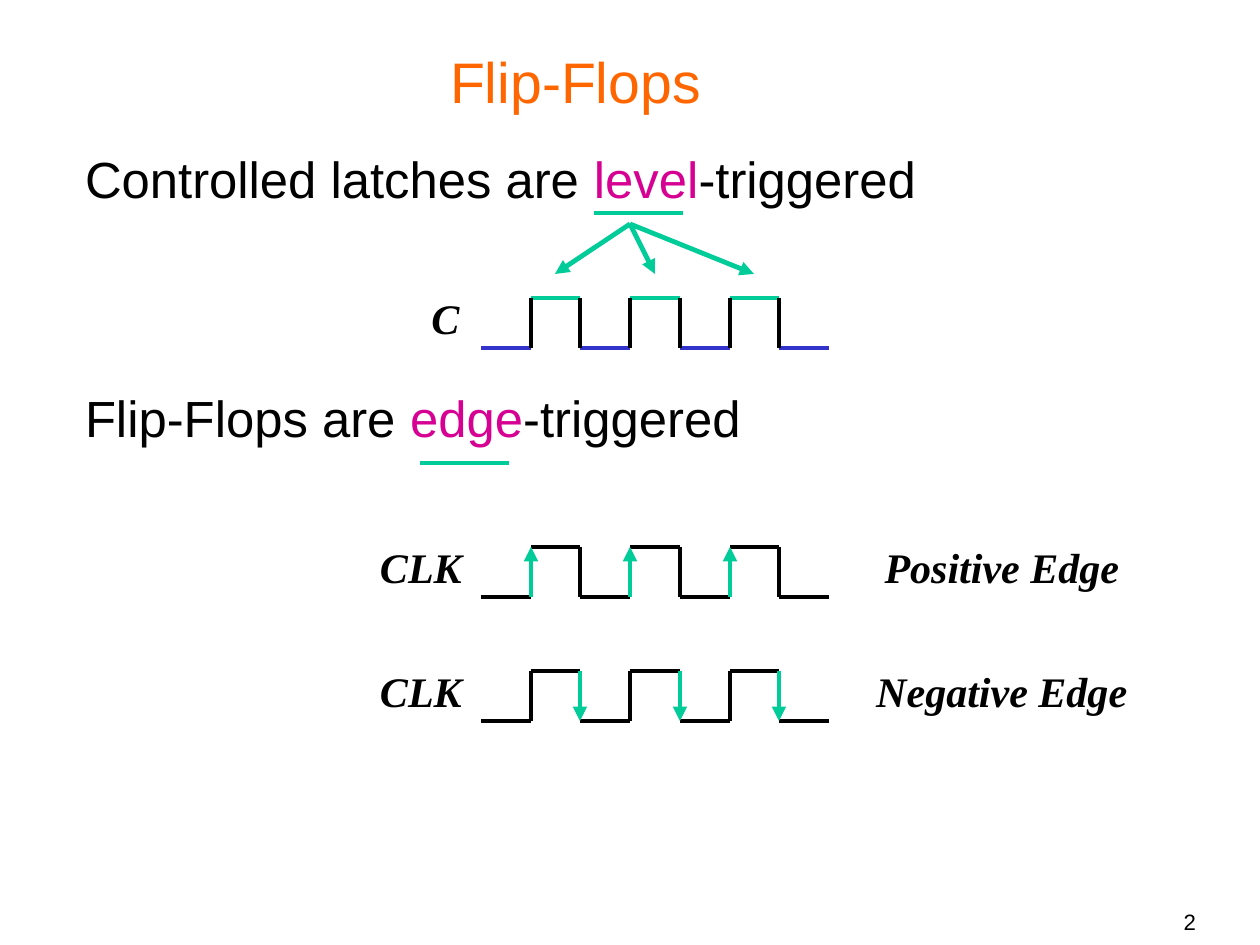
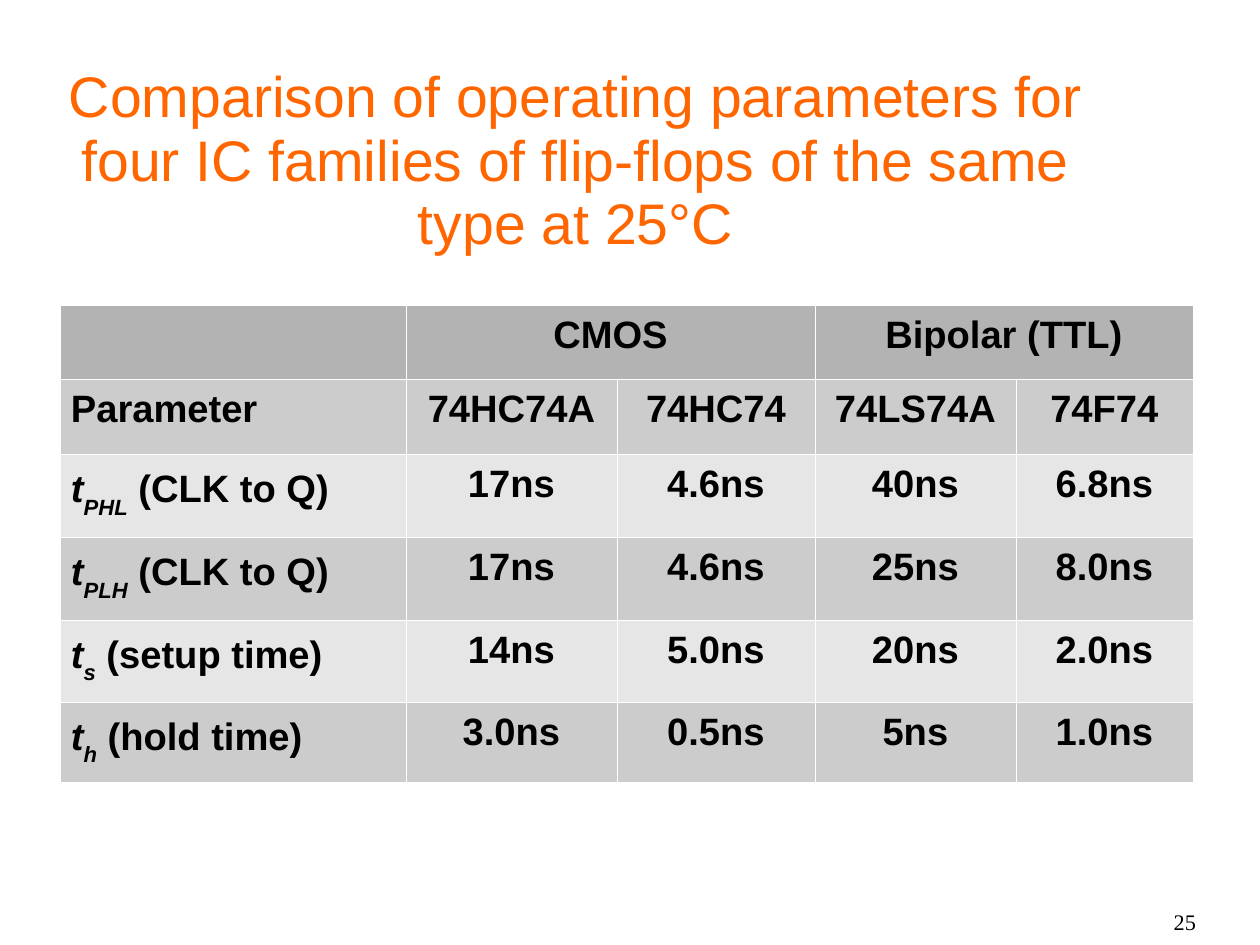
import dataclasses
import pptx
import pptx.dml.color
import pptx.enum.shapes
import pptx.enum.text
import pptx.oxml
import pptx.oxml.ns
import pptx.util
import lxml.etree

ALIGN = pptx.enum.text.PP_ALIGN
ANCHOR = pptx.enum.text.MSO_ANCHOR


@dataclasses.dataclass(frozen=True)
class Theme:
    sans: str = "Arial"
    serif: str = "Times New Roman"
    title: str = "FF6600"
    ink: str = "000000"
    keyword: str = "D60093"
    accent: str = "00CC99"
    low_level: str = "3333CC"
    border: str = "FFFFFF"
    header: str = "B3B3B3"
    bands: tuple = ("CCCCCC", "E6E6E6")
    title_size: float = 36
    body_size: float = 32
    label_size: float = 26.5
    table_size: float = 24
    page_size: float = 14
    line_width: float = 3
    border_width: float = 0.06


THEME = Theme()
PX = 8000
SLIDE_SIZE = (1260, 945)
PAGE_BOX = (903, 908, 293, 37)

LATCHES = {
    "title": "Flip-Flops",
    "title_box": (63, 38, 1025, 93),
    "page": "2",
    "page_font": THEME.sans,
}
STATEMENT_BOX = (85, 150, 1141, 331)
STATEMENTS = [
    ("Controlled latches are ", "level", "-triggered", 14),
    ("Flip-Flops are ", "edge", "-triggered", 115),
]
UNDERLINES = [(594, 213), (420, 463)]
UNDERLINE_WIDTH = 89
LEVEL_ORIGIN = (630, 224)
LEVEL_TARGETS = [(555, 274), (655, 274), (754, 274)]
WAVE_LEFT, WAVE_WIDTH, WAVE_HEIGHT, WAVE_STEPS = 481, 348, 50, 7
WAVES = [
    {"top": 298, "low": THEME.low_level, "high": THEME.accent,
     "labels": [("C", 431, 29)]},
    {"top": 547, "rise": THEME.accent,
     "labels": [("CLK", 380, 82), ("Positive Edge", 878, 248)]},
    {"top": 671, "fall": THEME.accent,
     "labels": [("CLK", 380, 82), ("Negative Edge", 875, 254)]},
]
LABEL_HEIGHT = 46

COMPARISON = {
    "title": "Comparison of operating parameters for four IC families "
             "of flip-flops of the same type at 25°C",
    "title_box": (63, 63, 1025, 198),
    "page": "25",
    "page_font": THEME.serif,
}
TABLE_ORIGIN = (60, 305)
COLUMN_WIDTHS = [346, 211, 198, 201, 177]
ROW_HEIGHTS = [74, 75, 83, 83, 82, 80]
FAMILIES = [("CMOS", 1, 2), ("Bipolar (TTL)", 3, 4)]
DEVICES = ["Parameter", "74HC74A", "74HC74", "74LS74A", "74F74"]
TIMINGS = [
    ("PHL", " (CLK to Q)", "17ns", "4.6ns", "40ns", "6.8ns"),
    ("PLH", " (CLK to Q)", "17ns", "4.6ns", "25ns", "8.0ns"),
    ("s", " (setup time)", "14ns", "5.0ns", "20ns", "2.0ns"),
    ("h", " (hold time)", "3.0ns", "0.5ns", "5ns", "1.0ns"),
]


def rgb(value):
    return pptx.dml.color.RGBColor.from_string(value)


def emu(lengths):
    return [pptx.util.Emu(length * PX) for length in lengths]


def write(paragraph, text, *, size, font=THEME.sans, color=THEME.ink, bold=False,
          italic=False, align=ALIGN.LEFT, spacing=1.0, before=0):
    paragraph.alignment = align
    paragraph.line_spacing = spacing
    paragraph.space_before = pptx.util.Pt(before)
    pieces = [(text, {})] if isinstance(text, str) else text
    for words, changes in pieces:
        run = paragraph.add_run()
        run.text = words
        run.font.name = font
        run.font.size = pptx.util.Pt(size)
        run.font.bold = bold
        run.font.italic = changes.get("italic", italic)
        run.font.color.rgb = rgb(changes.get("color", color))
        if changes.get("subscript"):
            run.font._element.set("baseline", "-33000")


def prepare(frame, anchor=ANCHOR.TOP, wrap=True, top=0):
    frame.margin_left = frame.margin_right = frame.margin_bottom = 0
    frame.margin_top = top * PX
    frame.vertical_anchor = anchor
    frame.word_wrap = wrap
    frame.auto_size = pptx.enum.text.MSO_AUTO_SIZE.NONE
    return frame.paragraphs[0]


def place(shape, box):
    shape.left, shape.top, shape.width, shape.height = emu(box)


def add_text(slide, box, text, wrap=True, **style):
    frame = slide.shapes.add_textbox(*emu(box)).text_frame
    write(prepare(frame, wrap=wrap), text, **style)


def add_line(slide, start, end, color, arrow=False):
    line = slide.shapes.add_connector(
        pptx.enum.shapes.MSO_CONNECTOR.STRAIGHT, *emu(start + end))
    line.line.color.rgb = rgb(color)
    line.line.width = pptx.util.Pt(THEME.line_width)
    if arrow:
        head = lxml.etree.SubElement(line.line._get_or_add_ln(),
                                     pptx.oxml.ns.qn("a:tailEnd"))
        head.set("type", "triangle")
    lxml.etree.SubElement(line._element.spPr, pptx.oxml.ns.qn("a:effectLst"))


def add_slide(deck, layout, content):
    slide = deck.slides.add_slide(deck.slide_layouts[layout])
    title = slide.shapes.title
    place(title, content["title_box"])
    write(prepare(title.text_frame, ANCHOR.MIDDLE), content["title"],
          size=THEME.title_size, color=THEME.title, align=ALIGN.CENTER, spacing=0.93)
    add_text(slide, PAGE_BOX, content["page"], size=THEME.page_size,
             font=content["page_font"], align=ALIGN.RIGHT)
    return slide


def add_statements(slide):
    body = slide.placeholders[1]
    place(body, STATEMENT_BOX)
    paragraph = prepare(body.text_frame, top=3)
    for index, (lead, keyword, rest, before) in enumerate(STATEMENTS):
        if index:
            paragraph = body.text_frame.add_paragraph()
        write(paragraph, [(lead, {}), (keyword, {"color": THEME.keyword}), (rest, {})],
              size=THEME.body_size, spacing=0.93, before=before)
        lxml.etree.SubElement(paragraph._p.get_or_add_pPr(),
                              pptx.oxml.ns.qn("a:buNone"))


def add_wave(slide, wave):
    top = wave["top"]
    bottom = top + WAVE_HEIGHT
    stops = [WAVE_LEFT + round(WAVE_WIDTH * step / WAVE_STEPS)
             for step in range(WAVE_STEPS + 1)]
    for step, (x, following) in enumerate(zip(stops, stops[1:])):
        high = step % 2 == 1
        level = top if high else bottom
        add_line(slide, (x, level), (following, level),
                 wave.get("high" if high else "low", THEME.ink))
        if step:
            color = wave.get("rise" if high else "fall", THEME.ink)
            add_line(slide, (x, top + bottom - level), (x, level), color,
                     arrow=color == THEME.accent)
    for text, left, width in wave["labels"]:
        add_text(slide, (left, top, width, LABEL_HEIGHT), text, wrap=False,
                 size=THEME.label_size, font=THEME.serif, bold=True, italic=True,
                 align=ALIGN.CENTER, spacing=0.9)


def style_cell(cell, color):
    cell.fill.solid()
    cell.fill.fore_color.rgb = rgb(color)
    cell.margin_left = cell.margin_right = 11 * PX
    cell.margin_top, cell.margin_bottom = emu((14, 6))
    cell.vertical_anchor = ANCHOR.TOP
    properties = cell._tc.get_or_add_tcPr()
    for index, side in enumerate(("lnL", "lnR", "lnT", "lnB")):
        border = pptx.oxml.parse_xml(
            f'<a:{side} {pptx.oxml.ns.nsdecls("a")} '
            f'w="{pptx.util.Pt(THEME.border_width)}"><a:solidFill>'
            f'<a:srgbClr val="{THEME.border}"/></a:solidFill></a:{side}>')
        properties.insert(index, border)


def add_comparison(slide):
    size = (sum(COLUMN_WIDTHS), sum(ROW_HEIGHTS))
    table = slide.shapes.add_table(len(ROW_HEIGHTS), len(COLUMN_WIDTHS),
                                   *emu(TABLE_ORIGIN + size)).table
    for column, width in zip(table.columns, emu(COLUMN_WIDTHS)):
        column.width = width
    for row, height in zip(table.rows, emu(ROW_HEIGHTS)):
        row.height = height
    families = [""] * len(COLUMN_WIDTHS)
    for family, first, last in FAMILIES:
        families[first] = family
        table.cell(0, first).merge(table.cell(0, last))
    timings = [
        [[("t", {"italic": True}), (symbol, {"italic": True, "subscript": True}),
          (meaning, {})], *values]
        for symbol, meaning, *values in TIMINGS]
    for r, texts in enumerate([families, DEVICES, *timings]):
        color = THEME.bands[(r - 1) % 2] if r else THEME.header
        for c, text in enumerate(texts):
            cell = table.cell(r, c)
            style_cell(cell, color)
            if text:
                write(cell.text_frame.paragraphs[0], text, size=THEME.table_size,
                      bold=True, spacing=0.87,
                      align=ALIGN.CENTER if c else ALIGN.LEFT)


deck = pptx.Presentation()
deck.slide_width, deck.slide_height = emu(SLIDE_SIZE)

latches = add_slide(deck, 1, LATCHES)
add_statements(latches)
for x, y in UNDERLINES:
    add_line(latches, (x, y), (x + UNDERLINE_WIDTH, y), THEME.accent)
for target in LEVEL_TARGETS:
    add_line(latches, LEVEL_ORIGIN, target, THEME.accent, arrow=True)
for wave in WAVES:
    add_wave(latches, wave)

comparison = add_slide(deck, 5, COMPARISON)
add_comparison(comparison)

deck.save("out.pptx")
